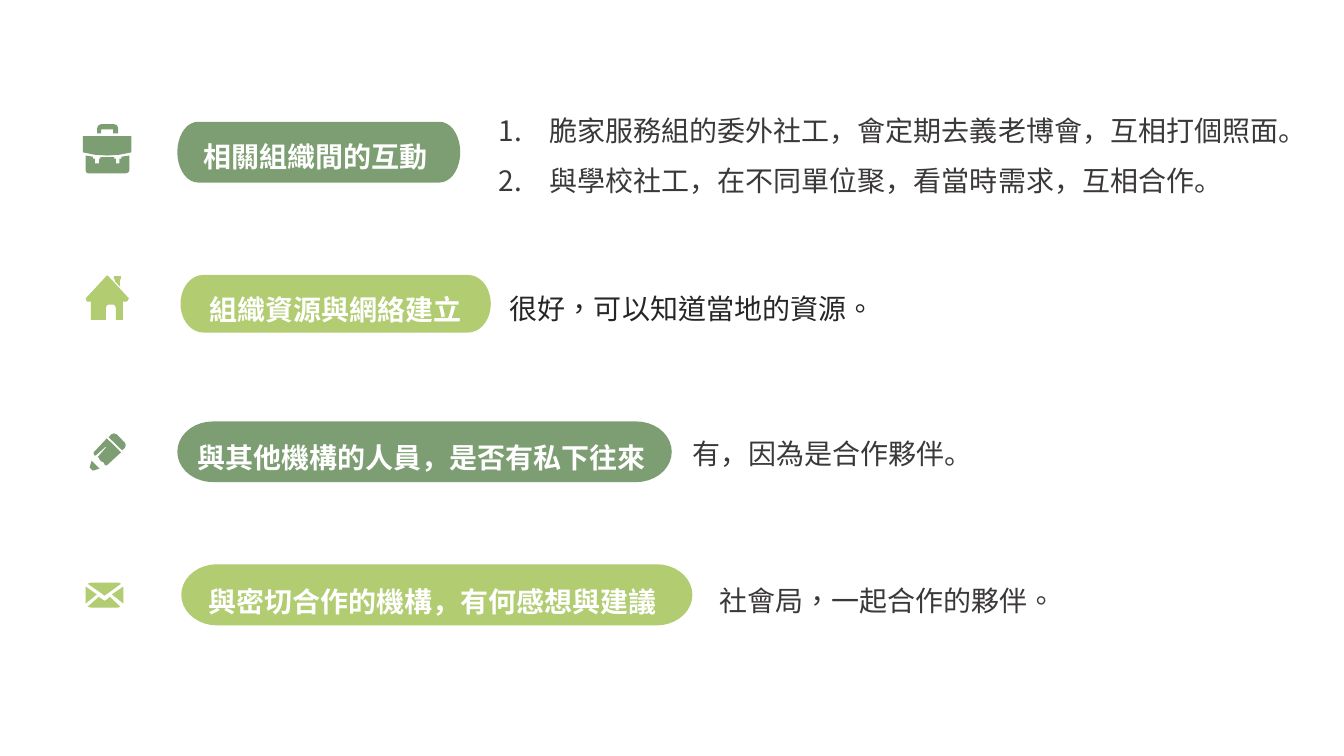
from math import cos, radians, sin

from lxml import etree
from pptx import Presentation
from pptx.dml.color import RGBColor
from pptx.enum.lang import MSO_LANGUAGE_ID as LANG
from pptx.enum.text import MSO_ANCHOR
from pptx.oxml.ns import qn
from pptx.util import Cm, Pt

GREEN = RGBColor(0x7D, 0x9D, 0x72)
LIME = RGBColor(0xB1, 0xCC, 0x71)
WHITE = RGBColor(0xFF, 0xFF, 0xFF)
GREY = RGBColor(0x3B, 0x38, 0x38)
DARK = RGBColor(0x26, 0x26, 0x26)
CN, TW = LANG.SIMPLIFIED_CHINESE, LANG.TRADITIONAL_CHINESE

prs = Presentation()
prs.slide_width, prs.slide_height = Cm(33.87), Cm(19.05)
slide = prs.slides.add_slide(prs.slide_layouts[1])
title, body = slide.placeholders
title.element.getparent().remove(title.element)


def add_outline(contours, color, x, y, scale):
    """Draw closed contours, given in whole units of scale, from the corner (x, y)."""
    fb = slide.shapes.build_freeform(*contours[0][0], scale=scale)
    for i, points in enumerate(contours):
        if i:
            fb.move_to(*points[0])
        fb.add_line_segments(points[1:], close=True)
    sp = fb.convert_to_shape(Cm(x), Cm(y))
    sp.shadow.inherit = False
    sp.fill.solid()
    sp.fill.fore_color.rgb = color
    sp.line.fill.background()


def add_text(p, text, color, lang, bold=False):
    r = p.add_run()
    r.text = text
    r.font.name, r.font.size, r.font.bold = "Lato", Pt(20), bold
    r.font.color.rgb = color
    r.font.language_id = lang


# Icon contours, in units of 0.1 mm
briefcase = [
    [(117, 79), (117, 117), (114, 122), (107, 124), (15, 124), (9, 122), (7, 117), (7, 79),
     (25, 82), (25, 87), (30, 87), (30, 99), (41, 99), (41, 87), (44, 87), (44, 83), (79, 83),
     (79, 87), (83, 87), (83, 99), (92, 99), (92, 87), (97, 87), (97, 82)],
    [(46, 0), (79, 0), (86, 3), (89, 10), (89, 23), (76, 23), (76, 13), (46, 13), (46, 23),
     (36, 23), (36, 10), (39, 3)],
    [(0, 30), (0, 71), (30, 77), (61, 79), (92, 77), (122, 71), (122, 30)],
]
house = [
    [(94, 66), (94, 112), (76, 112), (76, 82), (74, 76), (71, 74), (56, 74), (53, 76), (51, 82),
     (51, 112), (13, 112), (13, 66), (3, 66), (0, 58), (51, 3), (54, 0), (58, 3), (109, 58),
     (104, 66)],
    [(86, 10), (89, 10), (89, 2), (71, 2), (71, 10), (74, 10), (74, 15), (86, 28)],
]
pencil = [
    [(82, 43), (89, 36), (91, 30), (89, 24), (69, 3), (61, 0), (54, 3), (48, 10)],
    [(54, 23), (69, 38), (79, 48), (43, 81), (38, 80), (36, 74), (28, 70), (21, 59), (41, 36),
     (41, 33), (15, 56), (11, 55), (10, 48), (43, 13)],
    [(5, 69), (0, 86), (8, 94), (25, 89)],
]
envelope = [
    [(13, 0), (82, 0), (89, 3), (48, 33), (5, 3)],
    [(95, 10), (66, 30), (95, 53)],
    [(87, 61), (82, 63), (13, 63), (5, 61), (33, 36), (43, 43), (48, 46), (53, 43), (61, 36)],
    [(0, 53), (28, 30), (0, 10)],
]
for contours, color, x, y in [
    (briefcase, GREEN, 2.09, 3.13),
    (house, LIME, 2.16, 6.94),
    (pencil, GREEN, 2.26, 10.92),
    (envelope, LIME, 2.16, 14.68),
]:
    add_outline(contours, color, x, y, Cm(0.01))

# Pills with elliptical ends: box, end radius, then label place and text
for color, x, y, w, h, rx, label_x, label_y, label_w, label in [
    (GREEN, 4.47, 3.07, 7.13, 1.53, 0.52, 4.88, 3.4, 6.4, "相關組織間的互動"),
    (LIME, 4.55, 6.93, 7.82, 1.45, 0.57, 5.03, 7.24, 7.14, "組織資源與網絡建立"),
    (GREEN, 4.47, 10.62, 12.46, 1.53, 0.9, 4.72, 10.97, 12.27, "與其他機構的人員，是否有私下往來"),
    (LIME, 4.57, 14.22, 12.88, 1.54, 0.9, 5, 14.61, 12.27, "與密切合作的機構，有何感想與建議"),
]:
    ends = [(w - rx, range(-90, 91, 10)), (rx, range(90, 271, 10))]
    points = [(Cm(cx + rx * cos(radians(a))), Cm(h / 2 + h / 2 * sin(radians(a))))
              for cx, angles in ends for a in angles]
    add_outline([points], color, x, y, 1)
    tf = slide.shapes.add_textbox(Cm(label_x), Cm(label_y), Cm(label_w), Cm(1.12)).text_frame
    tf.word_wrap = True
    add_text(tf.paragraphs[0], label, WHITE, CN, bold=True)

# Numbered answers of the first row
body.left, body.top, body.width, body.height = Cm(12.32), Cm(2.31), Cm(21.06), Cm(2.82)
tf = body.text_frame
tf.vertical_anchor = MSO_ANCHOR.TOP
for i, answer in enumerate([
    "脆家服務組的委外社工，會定期去義老博會，互相打個照面。",
    "與學校社工，在不同單位聚，看當時需求，互相合作。",
]):
    p = tf.add_paragraph() if i else tf.paragraphs[0]
    p.line_spacing, p.space_before = 1.5, Pt(0)
    pPr = p._p.get_or_add_pPr()
    pPr.set("marL", str(Cm(1.27)))
    pPr.set("indent", str(-Cm(1.27)))
    etree.SubElement(pPr, qn("a:buFont"), typeface="+mj-lt")
    etree.SubElement(pPr, qn("a:buAutoNum"), type="arabicPeriod")
    add_text(p, answer, GREY, CN)

# Single answers of the other rows
for x, y, w, h, spacing, color, lang, answer in [
    (12.6, 7.21, 10.06, 1.12, 1, DARK, TW, "很好，可以知道當地的資源。"),
    (17.2, 10.44, 18.24, 1.55, 1.5, GREY, CN, "有，因為是合作夥伴。"),
    (17.88, 14.15, 10.64, 1.55, 1.5, GREY, TW, "社會局，一起合作的夥伴。"),
]:
    tf = slide.shapes.add_textbox(Cm(x), Cm(y), Cm(w), Cm(h)).text_frame
    tf.word_wrap = True
    p = tf.paragraphs[0]
    p.line_spacing = spacing
    add_text(p, answer, color, lang)

prs.save("out.pptx")
